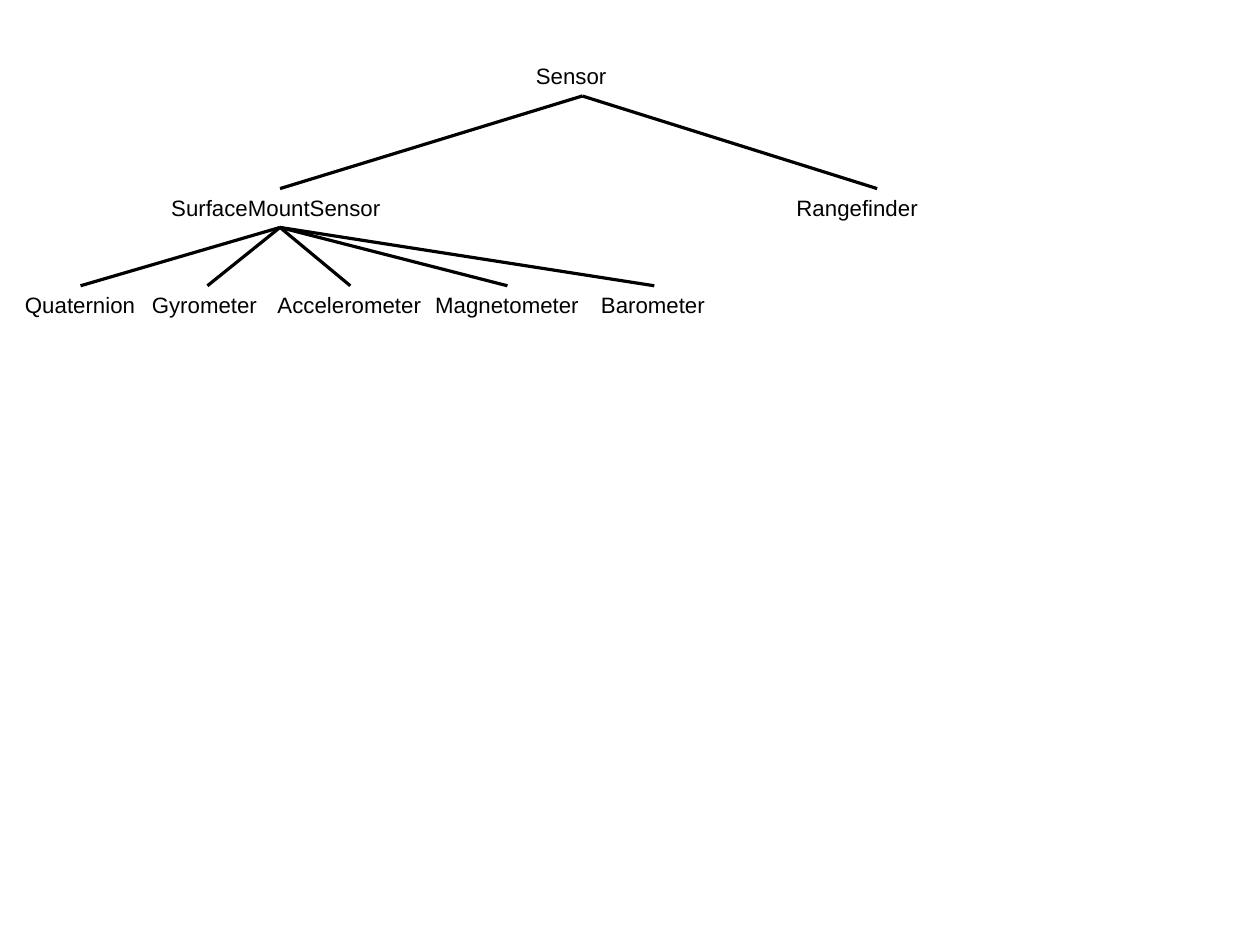
from lxml.etree import SubElement
from pptx import Presentation
from pptx.dml.color import RGBColor
from pptx.enum.shapes import MSO_CONNECTOR as CONNECTOR
from pptx.oxml.ns import qn
from pptx.util import Emu, Pt

SLIDE_WIDTH, SLIDE_HEIGHT = Emu(10080625), Emu(7559675)  # 28 by 21 cm
PX = 9144  # EMU per px, 100 px to the inch
BLACK = "000000"
FONT = "Arial"
HAIRLINE = Pt(0)
NODE_HEIGHT = 34
TOP, BOTTOM = 0, 2  # connection sites of a box

# Each class: name, parent, left and top within the tree, width
CLASSES = [
    ("Sensor", None, 447, 0, 101),
    ("SurfaceMountSensor", "Sensor", 128, 115, 210),
    ("Rangefinder", "Sensor", 675, 115, 161),
    ("Quaternion", "SurfaceMountSensor", 0, 200, 117),
    ("Gyrometer", "SurfaceMountSensor", 111, 200, 117),
    ("Accelerometer", "SurfaceMountSensor", 221, 200, 147),
    ("Magnetometer", "SurfaceMountSensor", 359, 200, 146),
    ("Barometer", "SurfaceMountSensor", 504, 200, 113),
]


def color(hex_string):
    return RGBColor.from_string(hex_string)


def add_node(slide, name, left, top, width):
    """Add the label of one class."""
    node = slide.shapes.add_textbox(left * PX, top * PX, width * PX, NODE_HEIGHT * PX)
    text_frame = node.text_frame
    text_frame.word_wrap = True
    text_frame.text = name
    font = text_frame.paragraphs[0].runs[0].font
    font.name = FONT
    font.size = Pt(14)
    font.color.rgb = color(BLACK)
    return node


def add_branch(slide, parent, child):
    """Join the bottom of the parent to the top of the child."""
    branch = slide.shapes.add_connector(CONNECTOR.STRAIGHT, 0, 0, 0, 0)
    branch.begin_connect(parent, BOTTOM)
    branch.end_connect(child, TOP)
    branch.line.color.rgb = color(BLACK)
    branch.line.width = HAIRLINE
    SubElement(branch.element.spPr, qn("a:effectLst"))


def add_class_tree(slide, tree_left, tree_top):
    # Class names
    nodes = {
        name: add_node(slide, name, tree_left + left, tree_top + top, width)
        for name, _, left, top, width in CLASSES
    }
    # Inheritance lines
    for name, parent, *_ in CLASSES:
        if parent:
            add_branch(slide, nodes[parent], nodes[name])


def main():
    presentation = Presentation()
    presentation.slide_width = SLIDE_WIDTH
    presentation.slide_height = SLIDE_HEIGHT
    blank_layout = presentation.slide_layouts[6]
    slide = presentation.slides.add_slide(blank_layout)
    add_class_tree(slide, 12, 50)
    presentation.save("out.pptx")


if __name__ == "__main__":
    main()
